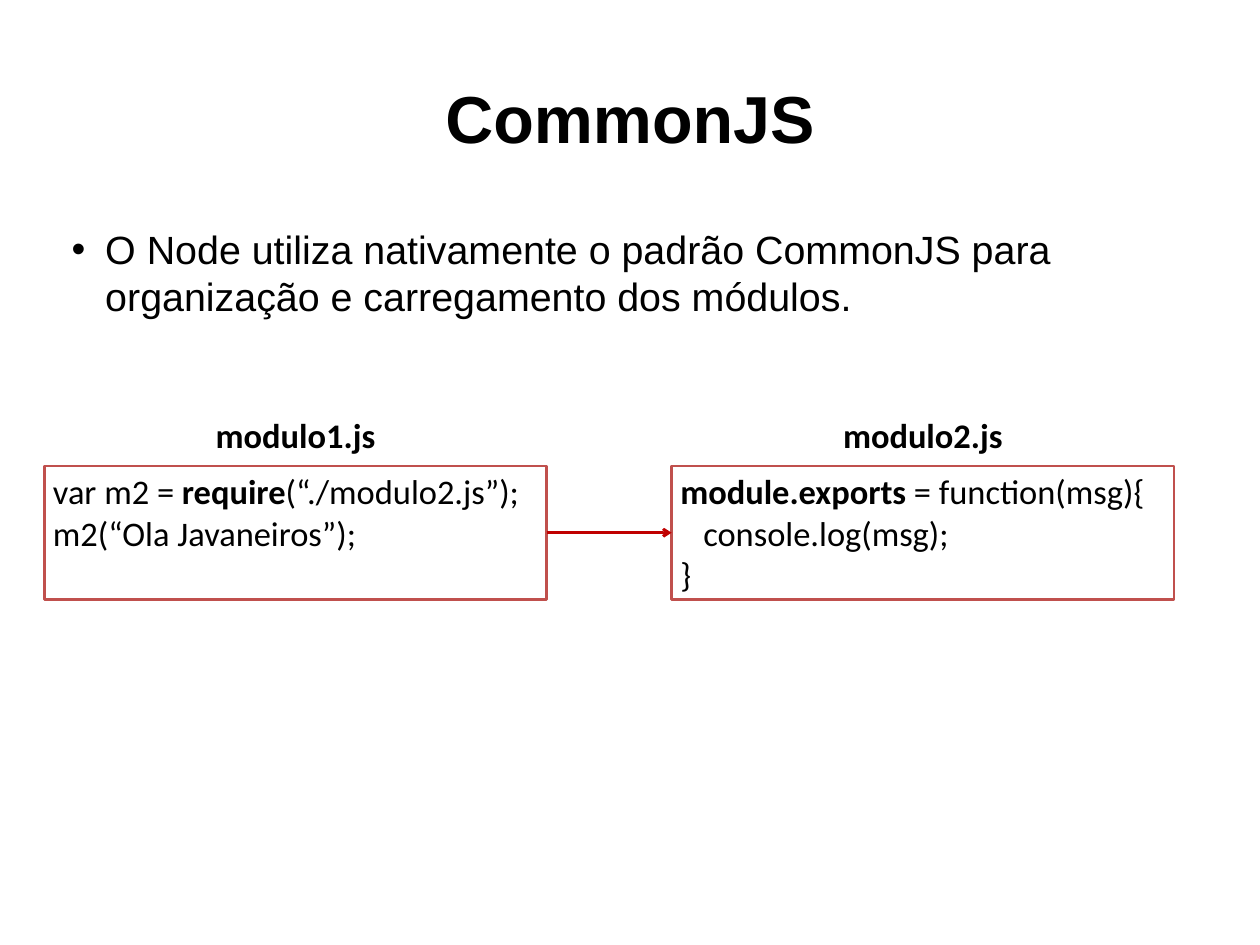
from pptx import Presentation
from pptx.util import Inches, Pt
from pptx.dml.color import RGBColor
from pptx.enum.shapes import MSO_SHAPE as Shape, MSO_CONNECTOR as Link
from pptx.enum.text import PP_ALIGN as Align, MSO_ANCHOR as Anchor
from pptx.oxml import parse_xml
from pptx.oxml.ns import nsdecls
from lxml import etree

# Content: each code line is (indent, [(text, bold), ...])
TITLE = "CommonJS"
POINT = ("O Node utiliza nativamente o padrão CommonJS para "
         "organização e carregamento dos módulos.")
MODULES = [
    ("modulo1.js", [
        (0, [("var m2 = ", False), ("require", True),
             ("(“./modulo2.js”);", False)]),
        (0, [("m2(“Ola Javaneiros”);", False)]),
    ]),
    ("modulo2.js", [
        (0, [("module.exports", True), (" = function(msg){", False)]),
        (0.26, [("console.log(msg);", False)]),
        (0, [("}", False)]),
    ]),
]
COLORS = {"text": "000000", "fill": "FFFFFF", "edge": "C0504D", "arrow": "C00000"}

# Layout in inches
WIDE, HIGH = 14.22, 10.67
LEFT, STEP = 0.5, 7.08
BOX_W, BOX_H, BOX_TOP = 5.67, 1.51, 5.26
NAME_TOP, NAME_H = 4.63, 0.57


def color(key):
    return RGBColor.from_string(COLORS[key])


def style(run, size, face, bold=False):
    font = run.font
    font.size, font.name, font.bold = Pt(size), face, bold
    font.color.rgb = color("text")


def add_text(area, text, size, face, bold=False, align=Align.LEFT, anchor=Anchor.TOP):
    frame = slide.shapes.add_textbox(*map(Inches, area)).text_frame
    frame.word_wrap = True
    frame.vertical_anchor = anchor
    frame.text = text
    para = frame.paragraphs[0]
    para.alignment = align
    style(para.runs[0], size, face, bold)
    return para


def indent(para, left, first=0):
    props = para._p.get_or_add_pPr()
    props.set("marL", str(Inches(left)))
    props.set("indent", str(Inches(first)))
    return props


def add_code(left, lines):
    box = slide.shapes.add_shape(
        Shape.RECTANGLE, *map(Inches, (left, BOX_TOP, BOX_W, BOX_H)))
    box.shadow.inherit = False
    box.fill.solid()
    box.fill.fore_color.rgb = color("fill")
    box.line.color.rgb = color("edge")
    box.line.width = Pt(2)
    frame = box.text_frame
    frame.word_wrap = True
    frame.vertical_anchor = Anchor.TOP
    for i, (inset, parts) in enumerate(lines):
        para = frame.add_paragraph() if i else frame.paragraphs[0]
        para.alignment = Align.LEFT
        indent(para, inset)
        for text, bold in parts:
            run = para.add_run()
            run.text = text
            style(run, 28, "Calibri", bold)


deck = Presentation()
deck.slide_width, deck.slide_height = Inches(WIDE), Inches(HIGH)
slide = deck.slides.add_slide(deck.slide_layouts[6])

# Title and bullet
add_text((0.71, 0.43, 12.8, 1.78), TITLE, 54, "Arial", True,
         Align.CENTER, Anchor.MIDDLE)
point = add_text((0.71, 2.49, 12.8, 1.51), POINT, 32, "Arial")
point.space_before = Pt(6.4)
props = indent(point, 0.38, -0.38)
props.append(parse_xml(f'<a:buFont {nsdecls("a")} typeface="Arial"/>'))
props.append(parse_xml(f'<a:buChar {nsdecls("a")} char="•"/>'))

# Modules: file name above its code
for i, (name, lines) in enumerate(MODULES):
    left = LEFT + i * STEP
    add_code(left, lines)
    add_text((left, NAME_TOP, BOX_W, NAME_H), name, 28, "Calibri", True, Align.CENTER)

# Arrow from the first module to the second
mid = BOX_TOP + BOX_H / 2
arrow = slide.shapes.add_connector(
    Link.STRAIGHT, *map(Inches, (LEFT + BOX_W, mid, LEFT + STEP, mid)))
arrow.line.color.rgb = color("arrow")
arrow.line.width = Pt(2.25)
line = arrow.line._get_or_add_ln()
line.append(parse_xml(f'<a:tailEnd {nsdecls("a")} type="arrow"/>'))
line.addnext(parse_xml(f'<a:effectLst {nsdecls("a")}/>'))

deck.save("out.pptx")
